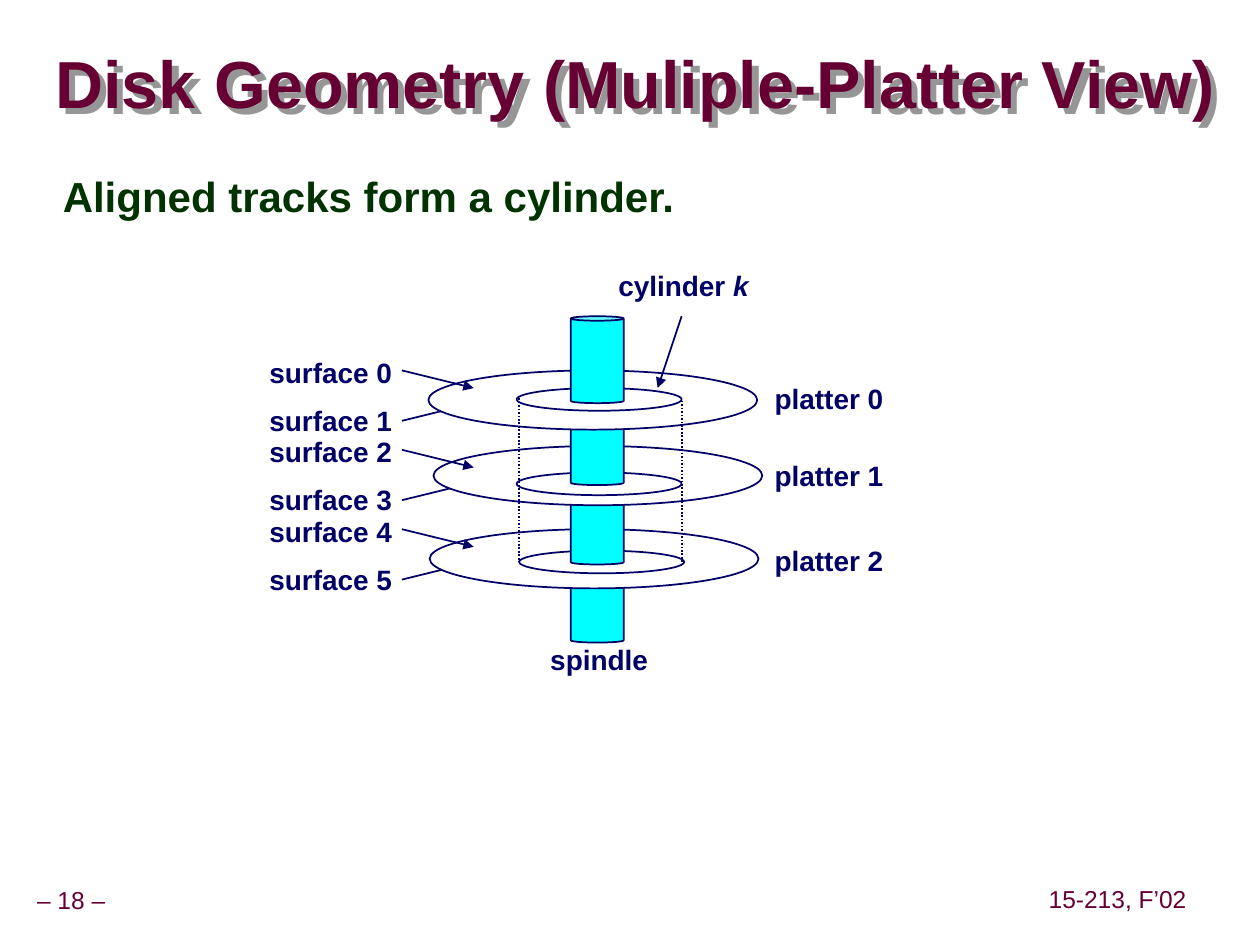
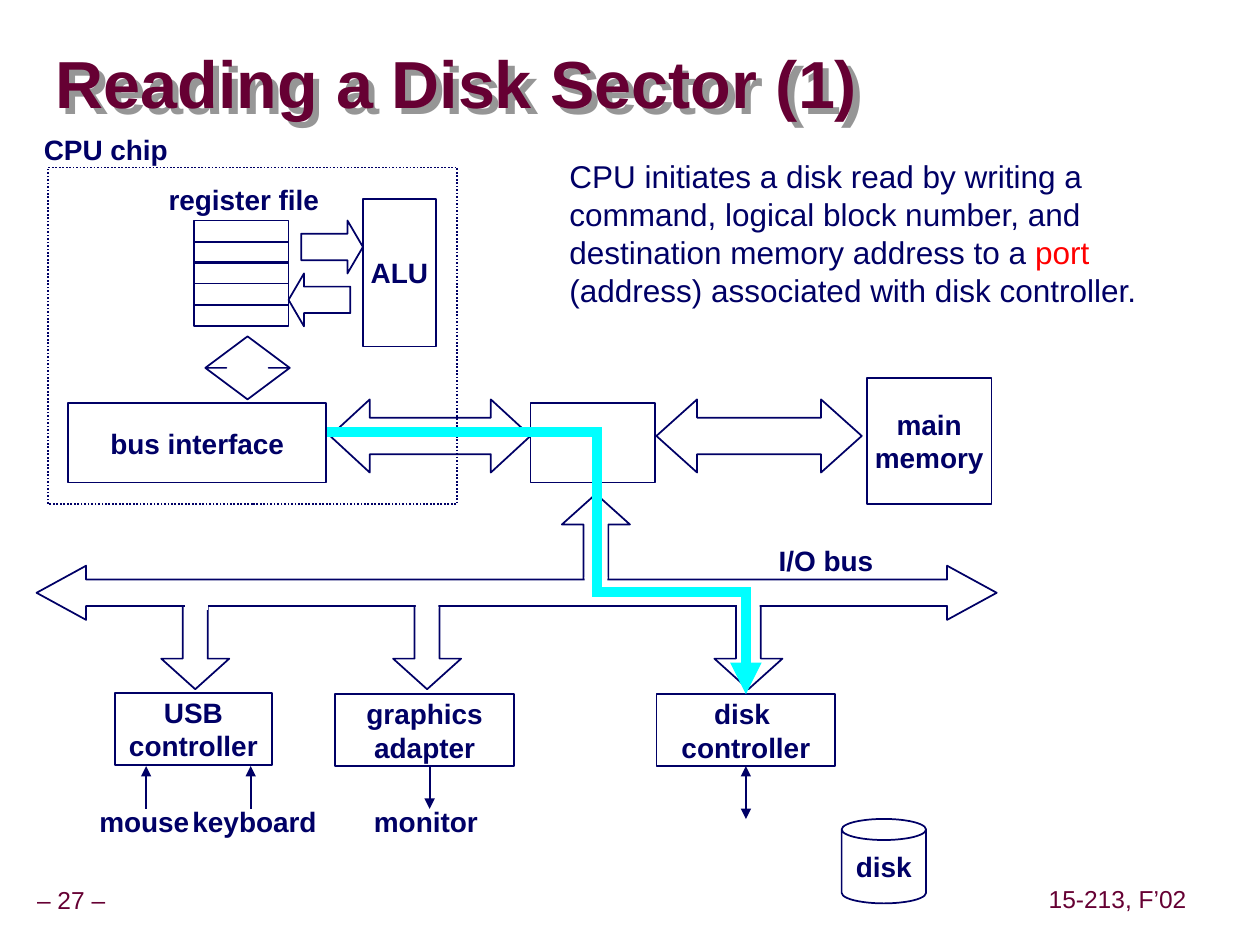
"""Builds two slides on disk geometry and on reading a disk sector."""
from dataclasses import dataclass
from typing import Optional

from lxml import etree
from pptx import Presentation
from pptx.dml.color import RGBColor
from pptx.enum.dml import MSO_LINE
from pptx.enum.shapes import MSO_CONNECTOR, MSO_SHAPE
from pptx.enum.text import MSO_ANCHOR, MSO_AUTO_SIZE, PP_ALIGN
from pptx.oxml.ns import qn
from pptx.shapes.autoshape import Shape
from pptx.shapes.connector import Connector
from pptx.slide import Slide
from pptx.util import Emu, Pt

RECT, OVAL, CAN = MSO_SHAPE.RECTANGLE, MSO_SHAPE.OVAL, MSO_SHAPE.CAN
LEFT_ARROW, RIGHT_ARROW = MSO_SHAPE.LEFT_ARROW, MSO_SHAPE.RIGHT_ARROW
UP_ARROW, DOWN_ARROW = MSO_SHAPE.UP_ARROW, MSO_SHAPE.DOWN_ARROW
WIDE_ARROW, TALL_ARROW = MSO_SHAPE.LEFT_RIGHT_ARROW, MSO_SHAPE.UP_DOWN_ARROW
STRAIGHT, DOTTED = MSO_CONNECTOR.STRAIGHT, MSO_LINE.ROUND_DOT
LEFT, CENTER = PP_ALIGN.LEFT, PP_ALIGN.CENTER
TOP, MIDDLE = MSO_ANCHOR.TOP, MSO_ANCHOR.MIDDLE
FIT_SHAPE = MSO_AUTO_SIZE.SHAPE_TO_FIT_TEXT
TOP_SIDE, BOTTOM_SIDE = 0, 2

PX = 9144
FONT = "Arial"
NAVY, MAROON, GREEN = "000066", "660033", "003300"
CYAN, WHITE, RED, GREY = "00FFFF", "FFFFFF", "FF0000", "969696"
LABEL_HEIGHT = 37
SPINDLE_ADJUST = (0.085,)
BRANCH_ADJUST = (0.367, 0.449)


@dataclass(frozen=True)
class Part:
    """A preset shape with its place and look."""
    kind: MSO_SHAPE
    left: int
    top: int
    width: int
    height: int
    text: str = ""
    fill: Optional[str] = None
    line: Optional[str] = NAVY
    adjust: tuple[float, ...] = ()
    dotted: bool = False


@dataclass(frozen=True)
class Label:
    """A bold caption centred in its box."""
    text: str
    left: int
    top: int
    width: int


@dataclass(frozen=True)
class Line:
    """A straight line, with optional arrowheads at its two ends."""
    x1: int
    y1: int
    x2: int
    y2: int
    head: bool = False
    tail: bool = False
    color: str = NAVY
    weight: int = 1
    dotted: bool = False


@dataclass(frozen=True)
class Platter:
    """One platter, its track ring and the spindle section above it."""
    number: int
    left: int
    top: int
    ring_left: int
    ring_top: int
    spindle_top: int
    label_top: int


PLATTERS = (
    Platter(0, 340, 294, 410, 308, 251, 298),
    Platter(1, 344, 354, 410, 375, 316, 359),
    Platter(2, 341, 420, 412, 437, 379, 426),
)


def px(length: int) -> Emu:
    """Turn px into EMU."""
    return Emu(length * PX)


def rgb(color: str) -> RGBColor:
    """Turn a hex string into a colour."""
    return RGBColor.from_string(color)


def write(box: Shape, text: str, *, size: int = 16, bold: bool = True,
          italic: bool = False, color: str = NAVY, align: PP_ALIGN = CENTER,
          spacing: Optional[float] = None) -> None:
    """Append text to the last paragraph; each newline starts another."""
    frame = box.text_frame
    for index, words in enumerate(text.split("\n")):
        para = frame.add_paragraph() if index else frame.paragraphs[-1]
        para.alignment = align
        para.line_spacing = spacing
        span = para.add_run()
        span.text = words
        font = span.font
        font.name, font.size, font.bold, font.italic = FONT, Pt(size), bold, italic
        font.color.rgb = rgb(color)


def add_box(page: Slide, left: int, top: int, width: int, height: int, *,
            margins: tuple[int, int] = (10, 5), anchor: MSO_ANCHOR = MIDDLE,
            wrap: bool = False, grow: bool = True) -> Shape:
    """Add an empty text box."""
    box = page.shapes.add_textbox(px(left), px(top), px(width), px(height))
    frame = box.text_frame
    frame.margin_left = frame.margin_right = px(margins[0])
    frame.margin_top = frame.margin_bottom = px(margins[1])
    frame.vertical_anchor = anchor
    frame.word_wrap = wrap
    if grow:
        frame.auto_size = FIT_SHAPE
    return box


def add_label(page: Slide, label: Label) -> Shape:
    """Add a caption, with side margins that leave its text room on one line."""
    box = add_box(page, label.left, label.top, label.width, LABEL_HEIGHT,
                  margins=(4, 5), grow=False)
    write(box, label.text)
    return box


def add_part(page: Slide, part: Part) -> Shape:
    """Draw a preset shape."""
    shape = page.shapes.add_shape(part.kind, px(part.left), px(part.top),
                                  px(part.width), px(part.height))
    shape.shadow.inherit = False
    for index, value in enumerate(part.adjust):
        shape.adjustments[index] = value
    if part.fill:
        shape.fill.solid()
        shape.fill.fore_color.rgb = rgb(part.fill)
    else:
        shape.fill.background()
    if part.line:
        shape.line.color.rgb = rgb(part.line)
        shape.line.width = Pt(1)
        if part.dotted:
            shape.line.dash_style = DOTTED
    else:
        shape.line.fill.background()
    if part.text:
        shape.text_frame.word_wrap = False
        shape.text_frame.vertical_anchor = MIDDLE
        write(shape, part.text)
    return shape


def add_line(page: Slide, line: Line) -> Connector:
    """Draw a straight connector."""
    link = page.shapes.add_connector(STRAIGHT, px(line.x1), px(line.y1),
                                     px(line.x2), px(line.y2))
    link.line.color.rgb = rgb(line.color)
    link.line.width = Pt(line.weight)
    if line.dotted:
        link.line.dash_style = DOTTED
    outline = link.line._get_or_add_ln()
    for tag, wanted in (("a:headEnd", line.head), ("a:tailEnd", line.tail)):
        if wanted:
            etree.SubElement(outline, qn(tag), type="triangle")
    etree.SubElement(link._element.spPr, qn("a:effectLst"))
    return link


def cast_shadow(box: Shape) -> None:
    """Give the title text its hard grey shadow."""
    effects = etree.SubElement(box._element.spPr, qn("a:effectLst"))
    shadow = etree.SubElement(effects, qn("a:outerShdw"), dist=str(7 * PX),
                              dir="2700000", algn="ctr", rotWithShape="0")
    etree.SubElement(shadow, qn("a:srgbClr"), val=GREY)


def add_page(deck: Presentation, title: str, number: int) -> Slide:
    """Add a blank page with its footers and title."""
    page = deck.slides.add_slide(deck.slide_layouts[6])
    for text, left, top, width in ((f"– {number} –", -9, 700, 131),
                                   ("15-213, F’02", 827, 699, 120)):
        footer = add_box(page, left, top, width, 31, margins=(5, 5))
        write(footer, text, size=14, bold=False, color=MAROON, spacing=0.9)
    heading = add_box(page, 44, 27, 953, 85, margins=(0, 0), wrap=True, grow=False)
    write(heading, title, size=38, color=MAROON, align=LEFT, spacing=0.87)
    cast_shadow(heading)
    return page


def spindle(top: int) -> Part:
    """Describe one section of the spindle."""
    return Part(CAN, 453, top, 42, 69, fill=CYAN, adjust=SPINDLE_ADJUST)


def build_geometry(deck: Presentation) -> None:
    """Build the slide on aligned tracks."""
    page = add_page(deck, "Disk Geometry (Muliple-Platter View)", 18)
    body = add_box(page, 40, 133, 900, 571, anchor=TOP, wrap=True, grow=False)
    write(body, "Aligned tracks form a cylinder.", size=24, color=GREEN,
          align=LEFT, spacing=0.95)

    for platter in PLATTERS:
        start = 334 + 63 * platter.number
        add_line(page, Line(319, start, 376, start - 14, tail=True))
    add_part(page, spindle(441))
    for platter in reversed(PLATTERS):
        add_part(page, Part(OVAL, platter.left, platter.top, 261, 47, fill=WHITE))
        add_part(page, Part(OVAL, platter.ring_left, platter.ring_top, 131, 18))
        add_part(page, spindle(platter.spindle_top))
    for platter in PLATTERS:
        offset = 63 * platter.number
        add_line(page, Line(319, 294 + offset, 376, 308 + offset, tail=True))
        for side in range(2):
            add_label(page, Label(f"surface {2 * platter.number + side}", 204,
                                  277 + offset + 38 * side, 117))
        add_label(page, Label(f"platter {platter.number}", 605,
                              platter.label_top, 106))
    for x, top in ((412, 316), (541, 318)):
        add_line(page, Line(x, top, x, top + 130, dotted=True))
    caption = add_label(page, Label("cylinder ", 481, 208, 123))
    write(caption, "k", italic=True)
    add_line(page, Line(541, 251, 522, 308, tail=True))
    add_label(page, Label("spindle", 427, 505, 97))


def build_reading(deck: Presentation) -> None:
    """Build the slide on the first step of a disk read."""
    page = add_page(deck, "Reading a Disk Sector (1)", 27)
    registers = [Part(RECT, 154, 175 + round(row * 50 / 3), 75, 17) for row in range(5)]
    branches = [Part(DOWN_ARROW, left, 472, 54, 75, adjust=BRANCH_ADJUST)
                for left in (128, 312, 567)]
    parts = (
        Part(RECT, 688, 300, 99, 100, "main\nmemory"),
        Part(WIDE_ARROW, 521, 317, 163, 58, adjust=(0.5, 0.557)),
        Part(RECT, 421, 320, 99, 63),
        Part(WIDE_ARROW, 262, 317, 159, 58, adjust=(0.5, 0.542)),
        *registers,
        Part(RIGHT_ARROW, 239, 175, 49, 42, adjust=(0.5, 0.292)),
        Part(LEFT_ARROW, 229, 217, 49, 42, adjust=(0.5, 0.292)),
        Part(RECT, 288, 158, 58, 117, "ALU"),
        Part(TALL_ARROW, 163, 267, 67, 50, adjust=(0.199, 0.5)),
        Part(RECT, 38, 133, 325, 267, dotted=True),
        Part(UP_ARROW, 446, 392, 54, 75, adjust=BRANCH_ADJUST),
        *branches,
        Part(RECT, 266, 551, 142, 57, "graphics\nadapter"),
        Part(RECT, 91, 550, 125, 57, "USB\ncontroller"),
        Part(CAN, 668, 650, 67, 67, "disk", adjust=(0.25,)),
        Part(WIDE_ARROW, 29, 449, 762, 43, fill=WHITE, adjust=(0.486, 0.915)),
    )
    for part in parts:
        add_part(page, part)
    controller = add_part(page, Part(RECT, 521, 551, 142, 57, "disk \ncontroller"))
    for left, top in ((147, 467), (330, 466), (585, 465), (464, 458)):
        add_part(page, Part(RECT, left, top, 18, 17, fill=WHITE, line=None))

    labels = (
        Label("register file", 124, 140, 139),
        Label("CPU chip", 25, 100, 118),
        Label("mouse", 69, 633, 91),
        Label("keyboard", 143, 633, 118),
        Label("monitor", 287, 633, 102),
        Label("I/O bus", 608, 426, 95),
    )
    for label in labels:
        add_label(page, label)

    lines = (
        Line(116, 608, 116, 642, head=True),
        Line(199, 608, 199, 642, head=True),
        Line(341, 608, 341, 642, tail=True),
        Line(258, 343, 478, 343, color=CYAN, weight=6),
        Line(474, 343, 474, 467, color=CYAN, weight=6),
        Line(470, 470, 596, 470, color=CYAN, weight=6),
    )
    for line in lines:
        add_line(page, line)
    disk_link = add_line(page, Line(592, 608, 592, 650, head=True, tail=True))
    disk_link.begin_connect(controller, BOTTOM_SIDE)
    command = add_line(page, Line(592, 466, 592, 551, tail=True, color=CYAN, weight=6))
    command.end_connect(controller, TOP_SIDE)
    add_part(page, Part(RECT, 54, 320, 205, 63, "bus interface"))

    note = add_box(page, 442, 120, 481, 130, anchor=TOP, wrap=True)
    for text, color in (
            ("CPU initiates a disk read by writing a command, logical block "
             "number, and destination memory address to a ", NAVY),
            ("port ", RED),
            ("(address) associated with disk controller.", NAVY)):
        write(note, text, size=18, bold=False, color=color, align=LEFT)


def main() -> None:
    """Build the deck and save it."""
    deck = Presentation()
    deck.slide_width, deck.slide_height = px(1000), px(750)
    build_geometry(deck)
    build_reading(deck)
    deck.save("out.pptx")


if __name__ == "__main__":
    main()
